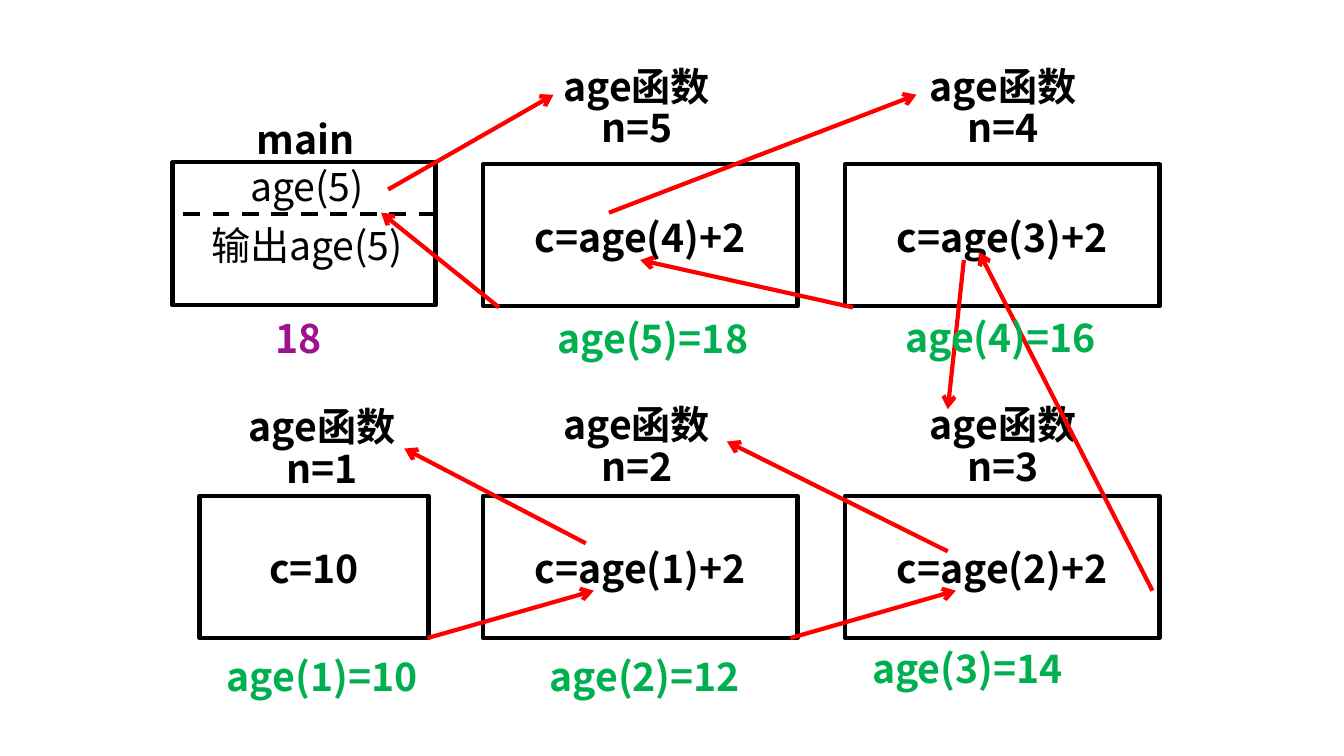
"""Draw the recursive call diagram of the age function."""
import dataclasses

import lxml.etree
import pptx
import pptx.dml.color
import pptx.enum.dml
import pptx.enum.shapes
import pptx.enum.text
import pptx.oxml.ns
import pptx.util

PX = 9144


@dataclasses.dataclass(frozen=True)
class Theme:
    """Colours, font and sizes of the diagram."""
    ink: str = "000000"
    arrow: str = "FF0000"
    result: str = "00B050"
    output: str = "9D138D"
    face: str = "Noto Sans CJK SC"
    size: int = 28
    line: int = 3


THEME = Theme()
TIGHT = {"line_spacing": pptx.util.Pt(24)}
LOOSE = {"line_spacing": 1.2}
BODY = {"line_spacing": 0.9}
FRAME_WIDTH, FRAME_HEIGHT = 312, 141
LABEL_WIDTH, LABEL_HEIGHT = 305, 62

FRAMES = [
    (479, 163, FRAME_WIDTH, "c=age(4)+2"),
    (838, 163, FRAME_WIDTH, "c=age(3)+2"),
    (479, 492, FRAME_WIDTH, "c=age(1)+2"),
    (838, 492, FRAME_WIDTH, "c=age(2)+2"),
    (198, 492, 227, "c=10"),
]
HEADINGS = [
    (479, 70, 305, 5),
    (839, 70, 312, 4),
    (167, 408, 305, 1),
    (479, 406, 305, 2),
    (839, 406, 312, 3),
]
ARROWS = [
    (385, 188, 549, 94),
    (604, 211, 909, 94),
    (956, 258, 940, 406),
    (940, 547, 721, 438),
    (581, 539, 401, 445),
    (424, 633, 589, 586),
    (784, 633, 948, 586),
    (1143, 586, 971, 250),
    (846, 305, 635, 258),
    (495, 305, 378, 211),
]
RESULTS = [
    (167, 656, "age(1)=10"),
    (487, 656, "age(2)=12"),
    (807, 648, "age(3)=14"),
    (840, 319, "age(4)=16"),
    (495, 320, "age(5)=18"),
]


def emu(*lengths):
    """Turn px lengths into EMU."""
    return [pptx.util.Emu(length * PX) for length in lengths]


def rgb(colour):
    """Return the colour object for a hex string."""
    return pptx.dml.color.RGBColor.from_string(colour)


def apply(target, formats):
    """Set every attribute in the format dict."""
    for name, value in formats.items():
        setattr(target, name, value)


def write(frame, lines, spacing, colour=THEME.ink, bold=True, gap=5.6):
    """Write centred paragraphs into a text frame."""
    frame.word_wrap = True
    frame.vertical_anchor = pptx.enum.text.MSO_ANCHOR.TOP
    for index, line in enumerate(lines):
        para = frame.add_paragraph() if index else frame.paragraphs[0]
        apply(para, {"alignment": pptx.enum.text.PP_ALIGN.CENTER, **spacing})
        para.space_before = pptx.util.Pt(gap if index else 0)
        span = para.add_run()
        span.text = line
        apply(span.font, {"name": THEME.face, "size": pptx.util.Pt(THEME.size), "bold": bold})
        span.font.color.rgb = rgb(colour)
        properties = span.font._element
        east = lxml.etree.SubElement(properties, pptx.oxml.ns.qn("a:ea"))
        east.set("typeface", THEME.face)


def add_text(page, place, lines, spacing, **formats):
    """Add a text box."""
    box = page.shapes.add_textbox(*emu(*place))
    write(box.text_frame, lines, spacing, **formats)


def add_frame(page, place, lines=()):
    """Add an outlined rectangle with optional text."""
    box = page.shapes.add_shape(pptx.enum.shapes.MSO_SHAPE.RECTANGLE, *emu(*place))
    box.shadow.inherit = False
    box.fill.background()
    box.line.color.rgb = rgb(THEME.ink)
    box.line.width = pptx.util.Pt(THEME.line)
    box.text_frame.margin_top = emu(39)[0]
    write(box.text_frame, lines, LOOSE)


def add_line(page, ends, colour):
    """Add a straight line without a shadow."""
    line = page.shapes.add_connector(pptx.enum.shapes.MSO_CONNECTOR.STRAIGHT, *emu(*ends))
    line.line.color.rgb = rgb(colour)
    line.line.width = pptx.util.Pt(THEME.line)
    lxml.etree.SubElement(line._element.spPr, pptx.oxml.ns.qn("a:effectLst"))
    return line


def add_arrow(page, ends):
    """Add a line with an open arrowhead at its end."""
    arrow = add_line(page, ends, THEME.arrow)
    outline = arrow.line._get_or_add_ln()
    lxml.etree.SubElement(outline, pptx.oxml.ns.qn("a:tailEnd")).set("type", "arrow")


def add_main(page):
    """Add the main program with its two statements."""
    add_frame(page, (171, 161, 261, 142))
    add_text(page, (174, 161, 261, 142), ["age(5)", "输出age(5)"], BODY, bold=False, gap=12)
    add_text(page, (221, 100, 164, 70), ["main"], LOOSE)
    divider = add_line(page, (432, 212, 174, 212), THEME.ink)
    divider.line.dash_style = pptx.enum.dml.MSO_LINE.DASH


def main():
    """Build and save the deck."""
    deck = pptx.Presentation()
    deck.slide_width, deck.slide_height = emu(1333, 750)
    page = deck.slides.add_slide(deck.slide_layouts[6])
    add_main(page)
    for left, top, width, text in FRAMES:
        add_frame(page, (left, top, width, FRAME_HEIGHT), [text])
    for left, top, width, number in HEADINGS:
        add_text(page, (left, top, width, 92), ["age函数", f"n={number}"], TIGHT)
    for ends in ARROWS:
        add_arrow(page, ends)
    for left, top, text in RESULTS:
        place = (left, top, LABEL_WIDTH, LABEL_HEIGHT)
        add_text(page, place, [text], TIGHT, colour=THEME.result)
    add_text(page, (206, 320, 180, 47), ["18"], TIGHT, colour=THEME.output)
    deck.save("out.pptx")


if __name__ == "__main__":
    main()
